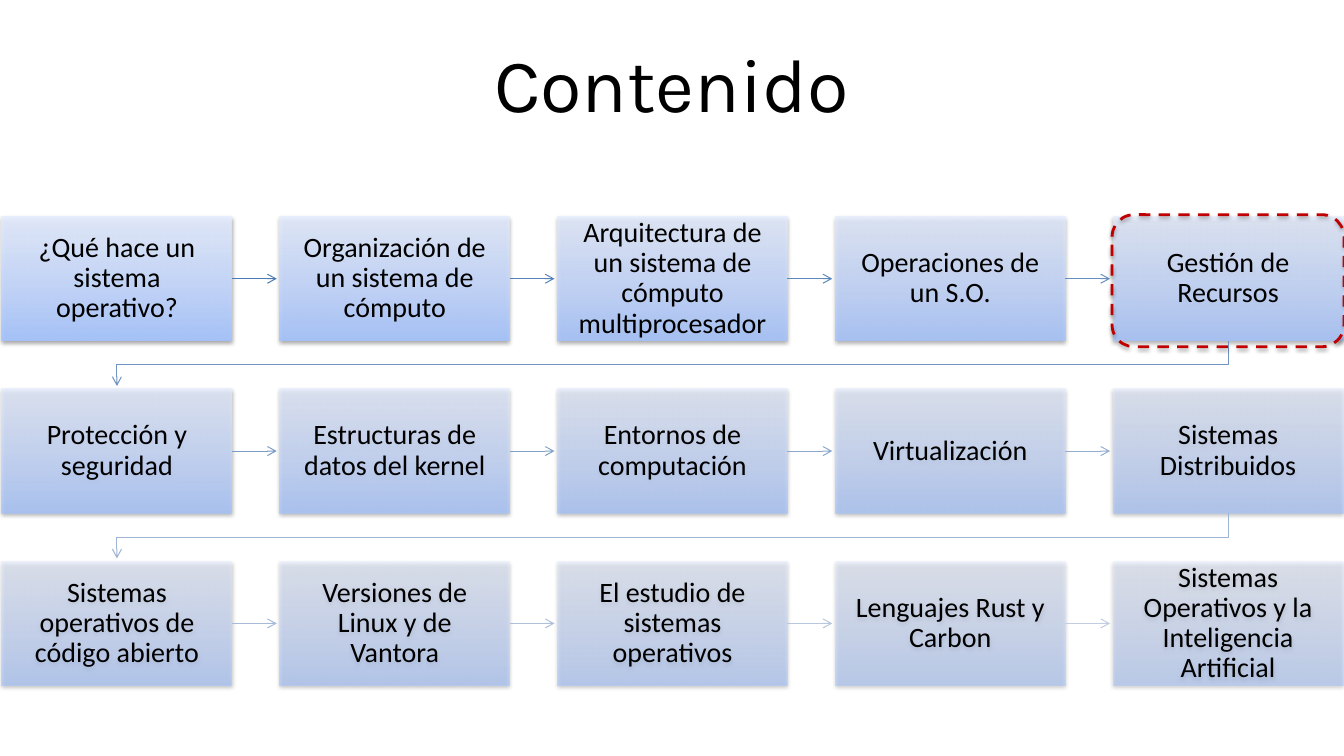
import pptx
import pptx.util
import pptx.dml.color
import pptx.enum.dml
import pptx.enum.shapes
import pptx.enum.text
import pptx.oxml
import pptx.oxml.ns
from lxml import etree

Inches = pptx.util.Inches
Pt = pptx.util.Pt
qn = pptx.oxml.ns.qn
MSO_SHAPE = pptx.enum.shapes.MSO_SHAPE

COLORS = {
    "text": "000000",
    "shadow": "000000",
    "box_bottom": "A4C4FF",
    "box_middle": "BFD4FF",
    "box_top": "E6EEFF",
    "arrow_first": "4B7BB5",
    "arrow_last": "C2CDE1",
    "highlight": "C00000",
}
TOPICS = [
    "¿Qué hace un sistema operativo?",
    "Organización de un sistema de cómputo",
    "Arquitectura de un sistema de cómputo multiprocesador",
    "Operaciones de un S.O.",
    "Gestión de Recursos",
    "Protección y seguridad",
    "Estructuras de datos del kernel",
    "Entornos de computación",
    "Virtualización",
    "Sistemas Distribuidos",
    "Sistemas operativos de código abierto",
    "Versiones de Linux y de Vantora",
    "El estudio de sistemas operativos",
    "Lenguajes Rust y Carbon",
    "Sistemas Operativos y la Inteligencia Artificial",
]
COLUMNS = 5
LEFT, TOP = 0.02, 2.15
BOX_WIDTH, BOX_HEIGHT = 2.28, 1.23
COLUMN_STEP = (11.04 - LEFT) / (COLUMNS - 1)
ROW_STEP = 1.71
ARROW_GAP = 0.03


def rgb(value):
    return pptx.dml.color.RGBColor.from_string(value)


def add_color(parent, value, alpha):
    color = etree.SubElement(parent, qn("a:srgbClr"), val=value)
    etree.SubElement(color, qn("a:alpha"), val=str(round(alpha * 1000)))


def add_shadow(shape, blur, distance, alpha):
    shape.shadow.inherit = False
    effects = shape._element.spPr.find(qn("a:effectLst"))
    shadow = etree.SubElement(
        effects, qn("a:outerShdw"), blurRad=str(Pt(blur)), dist=str(Pt(distance)),
        dir="5400000", rotWithShape="0")
    add_color(shadow, COLORS["shadow"], alpha)


def fill_gradient(shape, alpha):
    shape.fill.gradient()
    shape.fill.gradient_angle = 90
    stops = shape._element.spPr.find(qn("a:gradFill")).find(qn("a:gsLst"))
    for stop in list(stops):
        stops.remove(stop)
    for position, name in ((0, "box_bottom"), (35, "box_middle"), (100, "box_top")):
        stop = etree.SubElement(stops, qn("a:gs"), pos=str(position * 1000))
        add_color(stop, COLORS[name], alpha)


def write_text(shape, text, font_name, size):
    frame = shape.text_frame
    frame.word_wrap = True
    frame.vertical_anchor = pptx.enum.text.MSO_ANCHOR.MIDDLE
    paragraph = frame.paragraphs[0]
    paragraph.alignment = pptx.enum.text.PP_ALIGN.CENTER
    run = paragraph.add_run()
    run.text = text
    run.font.name = font_name
    run.font.size = Pt(size)
    run.font.color.rgb = rgb(COLORS["text"])
    return frame


def add_title(slide, text):
    title = slide.shapes.add_textbox(Inches(0.91), Inches(0.09), Inches(11.5), Inches(1.45))
    write_text(title, text, "Karla", 54)


def box_position(index):
    row, column = divmod(index, COLUMNS)
    return LEFT + column * COLUMN_STEP, TOP + row * ROW_STEP


def add_topic(slide, index, text):
    left, top = box_position(index)
    topic = slide.shapes.add_shape(
        MSO_SHAPE.RECTANGLE, Inches(left), Inches(top), Inches(BOX_WIDTH), Inches(BOX_HEIGHT))
    fill_gradient(topic, 90 - 40 * index / (len(TOPICS) - 1))
    topic.line.fill.background()
    add_shadow(topic, 3.1, 1.6, 38)
    frame = write_text(topic, text, "Calibri", 20)
    frame.margin_left = frame.margin_right = Inches(0.16)
    frame.margin_top = frame.margin_bottom = Inches(0.16)
    frame.paragraphs[0].line_spacing = 0.9
    return topic


def arrow_color(index):
    first, last = rgb(COLORS["arrow_first"]), rgb(COLORS["arrow_last"])
    share = index / (len(TOPICS) - 2)
    return pptx.dml.color.RGBColor(
        *(round(a + (b - a) * share) for a, b in zip(first, last)))


def style_arrow(arrow, index):
    arrow.line.color.rgb = arrow_color(index)
    arrow.line.width = Pt(0.75)
    etree.SubElement(arrow.line._get_or_add_ln(), qn("a:tailEnd"), type="arrow")


def add_straight_arrow(slide, index, topic):
    left, top = box_position(index)
    middle = Inches(top + BOX_HEIGHT / 2)
    arrow = slide.shapes.add_connector(
        pptx.enum.shapes.MSO_CONNECTOR.STRAIGHT, Inches(left + BOX_WIDTH), middle,
        Inches(left + COLUMN_STEP - ARROW_GAP), middle)
    arrow.begin_connect(topic, 3)
    style_arrow(arrow, index)
    etree.SubElement(arrow._element.spPr, qn("a:effectLst"))


def add_return_arrow(slide, index):
    left, top = box_position(index)
    next_left, next_top = box_position(index + 1)
    start_x, end_x = Inches(left + BOX_WIDTH / 2), Inches(next_left + BOX_WIDTH / 2)
    bottom = top + BOX_HEIGHT
    bend_y = Inches((bottom + next_top) / 2)
    builder = slide.shapes.build_freeform(start_x, Inches(bottom))
    builder.add_line_segments(
        [(start_x, bend_y), (end_x, bend_y), (end_x, Inches(next_top - ARROW_GAP))],
        close=False)
    arrow = builder.convert_to_shape()
    arrow.fill.background()
    style_arrow(arrow, index)
    arrow.shadow.inherit = False


def add_highlight(slide):
    highlight = slide.shapes.add_shape(
        MSO_SHAPE.ROUNDED_RECTANGLE, Inches(11.03), Inches(2.13), Inches(2.3), Inches(1.31))
    highlight.fill.background()
    highlight.line.color.rgb = rgb(COLORS["highlight"])
    highlight.line.width = Pt(2)
    highlight.line.dash_style = pptx.enum.dml.MSO_LINE.DASH
    add_shadow(highlight, 3.1, 1.8, 35)


def main():
    presentation = pptx.Presentation()
    presentation.slide_width = Inches(13.33)
    presentation.slide_height = Inches(7.5)
    slide = presentation.slides.add_slide(presentation.slide_layouts[6])
    add_title(slide, "Contenido")
    topics = [add_topic(slide, index, text) for index, text in enumerate(TOPICS)]
    for index, topic in enumerate(topics[:-1]):
        if (index + 1) % COLUMNS:
            add_straight_arrow(slide, index, topic)
        else:
            add_return_arrow(slide, index)
    add_highlight(slide)
    presentation.save("out.pptx")


if __name__ == "__main__":
    main()
